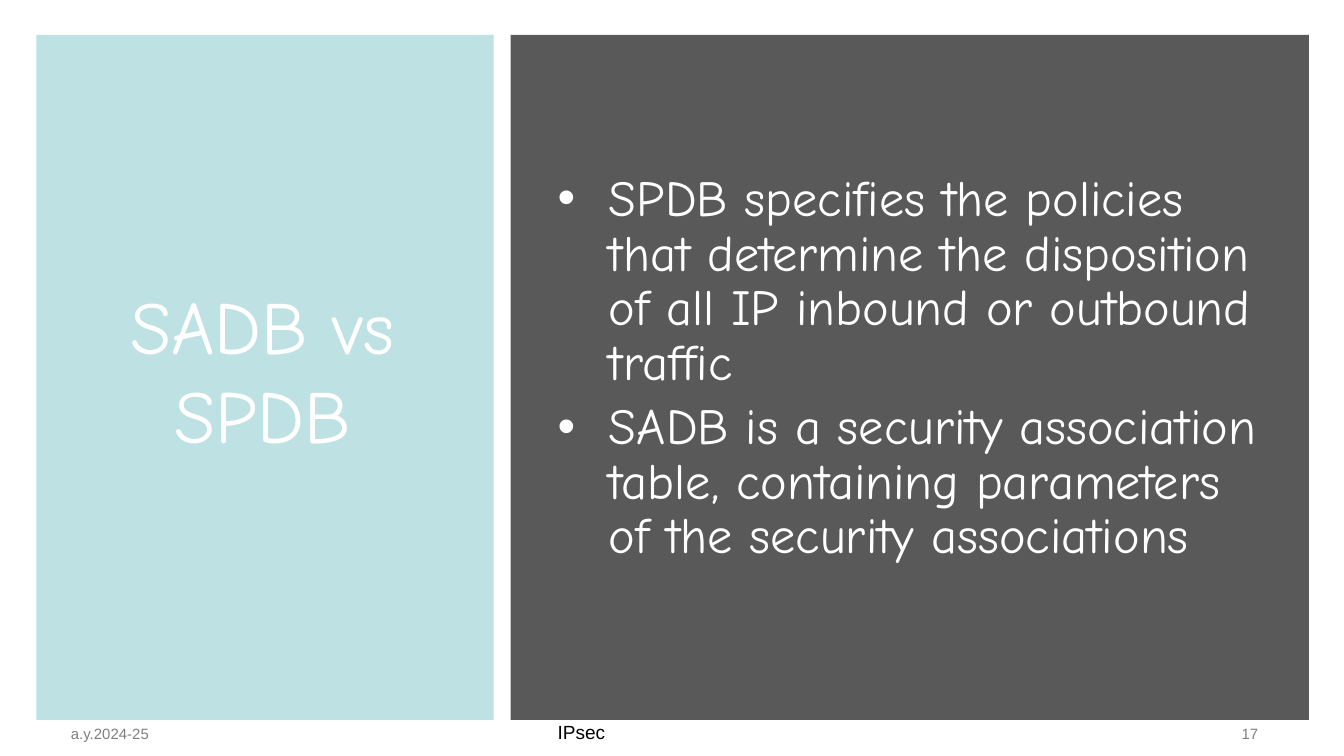
from dataclasses import dataclass

from lxml.etree import SubElement
from pptx import Presentation
from pptx.dml.color import RGBColor as Rgb
from pptx.enum.shapes import MSO_SHAPE as Shape
from pptx.enum.text import MSO_ANCHOR as Anchor, PP_ALIGN as Align
from pptx.oxml.ns import qn
from pptx.util import Cm, Pt


@dataclass(frozen=True)
class Theme:
    aqua: str = "BBE0E3"
    dark: str = "595959"
    white: str = "FFFFFF"
    black: str = "000000"
    gray: str = "7F7F7F"
    hand: str = "Comic Neue"
    sans: str = "Arial"
    title: float = 40
    body: float = 27
    topic: float = 10.2
    small: float = 8


THEME = Theme()
POINTS = (
    "SPDB specifies the policies that determine the disposition of all IP "
    "inbound or outbound traffic",
    "SADB is a security association table, containing parameters of the "
    "security associations",
)


def add_panel(slide, left, width, color, alpha=100):
    """Add a full-height colour panel; alpha is its opacity in percent."""
    panel = slide.shapes.add_shape(
        Shape.RECTANGLE, Cm(left), Cm(0.66), Cm(width), Cm(12.95))
    panel.shadow.inherit = False
    panel.line.fill.background()
    panel.fill.solid()
    panel.fill.fore_color.rgb = Rgb.from_string(color)
    if alpha < 100:
        tone = panel.fill._xPr.find(qn("a:solidFill"))[0]
        SubElement(tone, qn("a:alpha"), val=str(alpha * 1000))


def add_bullet(para):
    """Give the paragraph a white dot and a hanging indent."""
    props = para._p.get_or_add_pPr()
    props.set("marL", str(Cm(0.97)))
    props.set("indent", str(-Cm(0.97)))
    tint = SubElement(props, qn("a:buClr"))
    SubElement(tint, qn("a:srgbClr"), val=THEME.white)
    SubElement(props, qn("a:buFont"), typeface=THEME.sans)
    SubElement(props, qn("a:buChar"), char="•")


def add_text(slide, box, lines, face, size, color, align=Align.LEFT,
             anchor=Anchor.TOP, space=1.0, gap=0, bullet=False):
    frame = slide.shapes.add_textbox(*map(Cm, box)).text_frame
    frame.word_wrap = True
    frame.vertical_anchor = anchor
    frame.text = "\n".join(lines)
    for row, para in enumerate(frame.paragraphs):
        if bullet:
            add_bullet(para)
        para.alignment = align
        para.line_spacing = space
        if row:
            para.space_before = Pt(gap)
        para.font.name = face
        para.font.size = Pt(size)
        para.font.color.rgb = Rgb.from_string(color)


def add_foot(slide, left, width, text, size=THEME.small, color=THEME.gray,
             align=Align.LEFT, space=0.9):
    add_text(slide, (left, 13.61, width, 0.58), [text], THEME.sans, size,
             color, align, space=space)


def main():
    deck = Presentation()
    deck.slide_width, deck.slide_height = Cm(25.4), Cm(14.29)
    slide = deck.slides.add_slide(deck.slide_layouts[6])

    add_panel(slide, 0.69, 8.64, THEME.aqua, 95)
    add_text(slide, (1.09, 1.22, 7.75, 11.51), ["SADB vs SPDB"], THEME.hand,
             THEME.title, THEME.white, Align.CENTER, Anchor.MIDDLE)

    add_panel(slide, 9.65, 15.09, THEME.dark)
    add_text(slide, (10.29, 1.22, 13.74, 11.51), POINTS, THEME.hand,
             THEME.body, THEME.white, anchor=Anchor.MIDDLE, space=0.9,
             gap=5.4, bullet=True)

    add_foot(slide, 1.09, 4.5, "a.y.2024-25")
    add_foot(slide, 10.29, 11.15, "IPsec", THEME.topic, THEME.black, space=0.7)
    add_foot(slide, 22, 2.03, "17", align=Align.RIGHT)

    deck.save("out.pptx")


if __name__ == "__main__":
    main()
